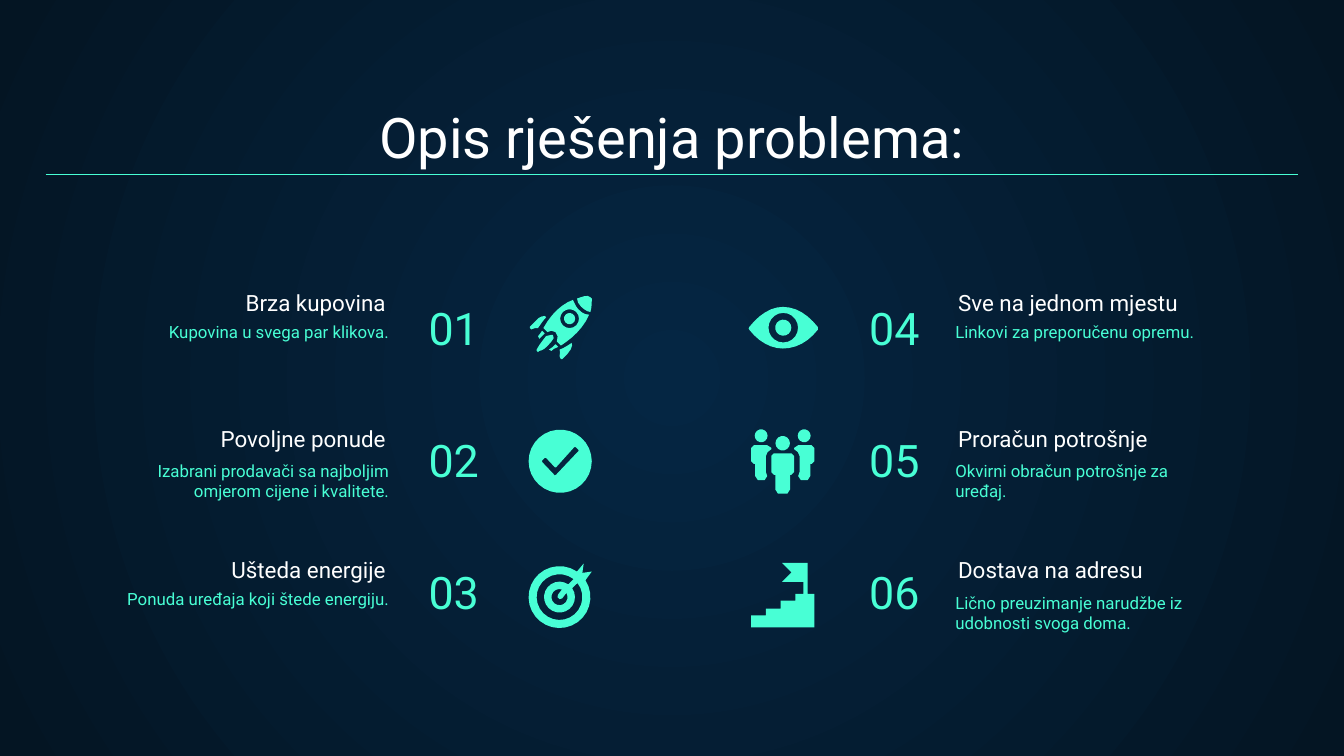
from dataclasses import dataclass
from math import ceil, cos, dist, radians, sin, sqrt

from lxml.etree import SubElement
from pptx import Presentation
from pptx.dml.color import RGBColor as Rgb
from pptx.enum.shapes import MSO_CONNECTOR as Connector
from pptx.enum.text import MSO_ANCHOR as Anchor, PP_ALIGN as Align
from pptx.oxml.ns import qn
from pptx.slide import Slide
from pptx.util import Pt

Point = tuple[float, float]


@dataclass(frozen=True)
class Theme:
    """Colours, font and type sizes."""
    glow: Rgb = Rgb.from_string("052643")
    night: Rgb = Rgb.from_string("041523")
    accent: Rgb = Rgb.from_string("48FFD5")
    white: Rgb = Rgb.from_string("FFFFFF")
    font: str = "Roboto"
    title: float = 30
    number: float = 24
    heading: float = 12
    body: float = 9


@dataclass(frozen=True)
class Box:
    """A rectangle in points."""
    left: float
    top: float
    width: float
    height: float


@dataclass(frozen=True)
class Glyph:
    """One outline of an icon, on a grid of GRID-point cells."""
    outline: str
    mirrored: bool = False


@dataclass(frozen=True)
class Icon:
    """Glyphs and the place of their grid origin in points."""
    left: float
    top: float
    glyphs: list[Glyph]


@dataclass(frozen=True)
class Column:
    """Left edges, widths and alignments of one column of features."""
    heading_left: float
    body_left: float
    body_width: float
    number_left: float
    text_align: Align
    number_align: Align


@dataclass(frozen=True)
class Feature:
    """One numbered feature of the solution."""
    heading: str
    body: str
    icon: Icon


THEME = Theme()
GRID = 0.72
ICON_SPAN = 47
INSET = 7.2
ROW_TOPS = (161.3, 234, 304.6)
NUMBER_TOP, NUMBER_STEP = 149.8, 70.6

# Outline letters: M move, L line, C curve, O circle (x y r),
# A arc (x y r from to, in degrees), Z close.
ROCKET = [Glyph(o) for o in (
    "M 10 26 C 8 28 8 30 7 30 L 8 32 C 9 31 10 30 12 28 Z",
    "M 20 36 C 18 38 17 39 15 40 L 17 41 C 18 40 19 39 22 38 Z",
    "M 17 29 C 16 29 14 30 13 30 C 9 35 7 38 6 40 L 6 41 L 7 42 L 8 41 "
    "C 10 41 13 39 17 34 C 19 33 19 30 18 29 Z",
    "M 12 15 C 10 15 7 16 5 19 L 1 23 L 1 24 L 2 25 "
    "C 4 24 5 24 7 24 C 9 21 11 18 13 16 Z",
    "M 32 35 C 29 37 26 39 23 40 C 24 41 23 42 23 45 L 24 47 "
    "L 25 47 L 29 43 C 32 40 33 36 32 35 Z",
    "O 30.5 17 4.2",
    "M 44 0 C 41 0 39 1 36 2 C 36 4 37 6 39 8 C 41 10 44 12 46 12 "
    "C 47 9 47 5 47 2 L 46 1 Z",
    "O 30.5 17 7 M 33 3 C 25 6 17 13 11 24 L 14 27 L 17 26 "
    "L 20 27 C 22 29 22 31 21 34 L 24 37 C 32 32 41 24 45 14 "
    "C 42 14 40 13 37 10 C 35 8 34 5 33 3 Z")]
CHECK = [Glyph("O 23.5 23.5 23.5 M 35 13 L 37.5 15.5 L 20.5 33.5 L 19.5 34 L 10 24 "
               "L 10 23 L 12 21 L 13 21 L 19.5 28 L 20.5 28 L 34 13 Z")]
TARGET = [Glyph("M 41 0 L 36 6 A 23 25 23 -57 -393 L 47 6 L 40 7 Z "
                "A 23 25 17 -38 308 A 23 25 11.5 305 -35 Z "
                "A 23 25 6 -31 288 L 22 23 L 21.5 25 L 23 26.5 L 25 26 Z")]
EYE = [Glyph("M 26 0 C 17 0 8 6 1 15 L 0.5 16 L 1 17 C 8 26 17 31 26 31 "
             "C 36 31 45 26 52 17 L 52 15 C 45 6 36 0 26 0 Z "
             "O 26.3 15.5 11 O 26.3 15.5 6")]
SIDE_PERSON = (
    "O 7.5 5 4.8",
    "M 2 12 C 1 12 0 13 0 14 L 0 24 C 0 25 1 26 2 26 L 3 26 L 3 35 C 3 37 4 38 5 38 "
    "L 10 38 C 11 38 12 37 12 35 L 11 32 L 11 20 C 11 18 13 16 15 15 "
    "L 15 14 C 15 13 14 12 12 12 Z")
PEOPLE = [Glyph(o, side) for side in (False, True) for o in SIDE_PERSON] + [
    Glyph("O 23.5 10.5 5.4"),
    Glyph("M 17 18 C 16 18 15 19 15 20 L 15 32 C 15 33 16 34 17 34 L 18 34 L 18 45 "
          "C 18 47 19 48 20 48 L 27 48 C 28 48 29 47 29 45 L 29 34 L 30 34 "
          "C 31 34 32 33 32 32 L 32 20 C 32 19 31 18 30 18 Z")]
STAIRS = [Glyph("M 23 0 L 30 7 L 23 14 L 39 14 L 39 23 L 33 23 L 33 28 L 22 28 L 22 34 "
                "L 11 34 L 11 39 L 0 39 L 0 48 L 47 48 L 47 23 L 42 23 L 42 0 Z")]

LEFT = Column(50.4, 56.9, 158.4, 222.5, Align.RIGHT, Align.LEFT)
RIGHT = Column(506.2, 504.7, 149, 406.8, Align.LEFT, Align.RIGHT)
FEATURES = [
    (LEFT, [
        Feature("Brza kupovina", "Kupovina u svega par klikova.", Icon(283.2, 158.5, ROCKET)),
        Feature("Povoljne ponude", "Izabrani prodavači sa najboljim omjerom cijene i kvalitete.",
                Icon(283.2, 230.2, CHECK)),
        Feature("Ušteda energije", "Ponuda uređaja koji štede energiju.",
                Icon(283.2, 301.9, TARGET))]),
    (RIGHT, [
        Feature("Sve na jednom mjestu", "Linkovi za preporučenu opremu.", Icon(400.7, 164.4, EYE)),
        Feature("Proračun potrošnje", "Okvirni obračun potrošnje za uređaj.",
                Icon(402.4, 229.9, PEOPLE)),
        Feature("Dostava na adresu", "Lično preuzimanje narudžbe iz udobnosti svoga doma.",
                Icon(402.4, 301.6, STAIRS))]),
]


def arc(x: float, y: float, r: float, start: float, end: float) -> list[Point]:
    """Return points along a circular arc, more for a larger one."""
    steps = ceil(6 * sqrt(r) * abs(end - start) / 360)
    angles = [radians(start + (end - start) * i / steps) for i in range(steps + 1)]
    return [(x + r * cos(a), y + r * sin(a)) for a in angles]


def curve(p0: Point, p1: Point, p2: Point, p3: Point) -> list[Point]:
    """Return points along a cubic curve, without its start."""
    count = min(6, max(1, round(dist(p0, p3) / 3)))
    steps = [i / count for i in range(1, count + 1)]
    return [tuple((1 - t) ** 3 * a + 3 * t * (1 - t) ** 2 * b + 3 * t * t * (1 - t) * c + t ** 3 * d
                  for a, b, c, d in zip(p0, p1, p2, p3)) for t in steps]


def contours(outline: str) -> list[list[Point]]:
    """Turn an outline into closed lists of points."""
    closed, current = [], []
    tokens = iter(outline.split())
    for letter in tokens:
        count = {"M": 2, "L": 2, "C": 6, "O": 3, "A": 5, "Z": 0}[letter]
        n = [float(next(tokens)) for _ in range(count)]
        if letter in "ML":
            current.append((n[0], n[1]))
        elif letter == "C":
            current += curve(current[-1], (n[0], n[1]), (n[2], n[3]), (n[4], n[5]))
        elif letter == "A":
            current += arc(*n)
        elif letter == "O":
            closed.append(arc(*n, 0, 360)[:-1])
        else:
            closed.append(current)
            current = []
    return closed


def draw_glyph(slide: Slide, icon: Icon, glyph: Glyph) -> None:
    """Draw one outline of an icon as a filled freeform."""
    rings = [[(Pt(icon.left + GRID * (ICON_SPAN - x if glyph.mirrored else x)),
               Pt(icon.top + GRID * y)) for x, y in ring] for ring in contours(glyph.outline)]
    builder = slide.shapes.build_freeform(*rings[0][0])
    for index, ring in enumerate(rings):
        if index:
            builder.move_to(*ring[0])
        builder.add_line_segments(ring[1:], close=True)
    figure = builder.convert_to_shape()
    figure.shadow.inherit = False
    figure.fill.solid()
    figure.fill.fore_color.rgb = THEME.accent
    figure.line.fill.background()


def add_text(slide: Slide, words: str, box: Box, size: float, color: Rgb,
             align: Align, anchor: Anchor = Anchor.BOTTOM) -> None:
    """Add one paragraph of styled text in a box."""
    frame = slide.shapes.add_textbox(
        Pt(box.left), Pt(box.top), Pt(box.width), Pt(box.height)).text_frame
    frame.word_wrap = True
    frame.vertical_anchor = anchor
    frame.margin_left = frame.margin_right = frame.margin_top = frame.margin_bottom = Pt(INSET)
    paragraph = frame.paragraphs[0]
    paragraph.alignment = align
    run = paragraph.add_run()
    run.text = words
    run.font.name, run.font.size, run.font.color.rgb = THEME.font, Pt(size), color


def draw_feature(slide: Slide, column: Column, feature: Feature, row: int, number: int) -> None:
    """Draw a feature: body, number, heading and icon."""
    top = ROW_TOPS[row]
    add_text(slide, feature.body, Box(column.body_left, top + 5.6, column.body_width, 39.6),
             THEME.body, THEME.accent, column.text_align, Anchor.TOP)
    add_text(slide, f"{number:02}",
             Box(column.number_left, NUMBER_TOP + row * NUMBER_STEP, 92.9, 47.5),
             THEME.number, THEME.accent, column.number_align)
    add_text(slide, feature.heading, Box(column.heading_left, top, 163.4, 15.1),
             THEME.heading, THEME.white, column.text_align)
    for glyph in feature.icon.glyphs:
        draw_glyph(slide, feature.icon, glyph)


def paint_background(slide: Slide) -> None:
    """Fill the background with a round glow from the centre."""
    fill = slide.background.fill
    fill.gradient()
    for stop, color in zip(fill.gradient_stops, (THEME.glow, THEME.night)):
        stop.color.rgb = color
    gradient = slide.element.find(".//" + qn("a:gradFill"))
    gradient.remove(gradient.find(qn("a:lin")))
    glow = SubElement(gradient, qn("a:path"), path="circle")
    SubElement(glow, qn("a:fillToRect"), l="50000", t="50000", r="50000", b="50000")


def draw_rule(slide: Slide) -> None:
    """Draw the line under the title."""
    rule = slide.shapes.add_connector(Connector.STRAIGHT, Pt(24.5), Pt(93.6), Pt(695.5), Pt(93.6))
    rule.line.color.rgb = THEME.accent
    rule.line.width = Pt(0.75)
    SubElement(rule._element.spPr, qn("a:effectLst"))


def main() -> None:
    """Build and save the slide."""
    deck = Presentation()
    deck.slide_width, deck.slide_height = Pt(720), Pt(405)
    slide = deck.slides.add_slide(deck.slide_layouts[6])
    paint_background(slide)
    add_text(slide, "Opis rješenja problema:", Box(24.5, 50.4, 671, 47.5),
             THEME.title, THEME.white, Align.CENTER)
    for side, (column, features) in enumerate(FEATURES):
        for row, feature in enumerate(features):
            draw_feature(slide, column, feature, row, side * len(features) + row + 1)
    draw_rule(slide)
    deck.save("out.pptx")


main()
